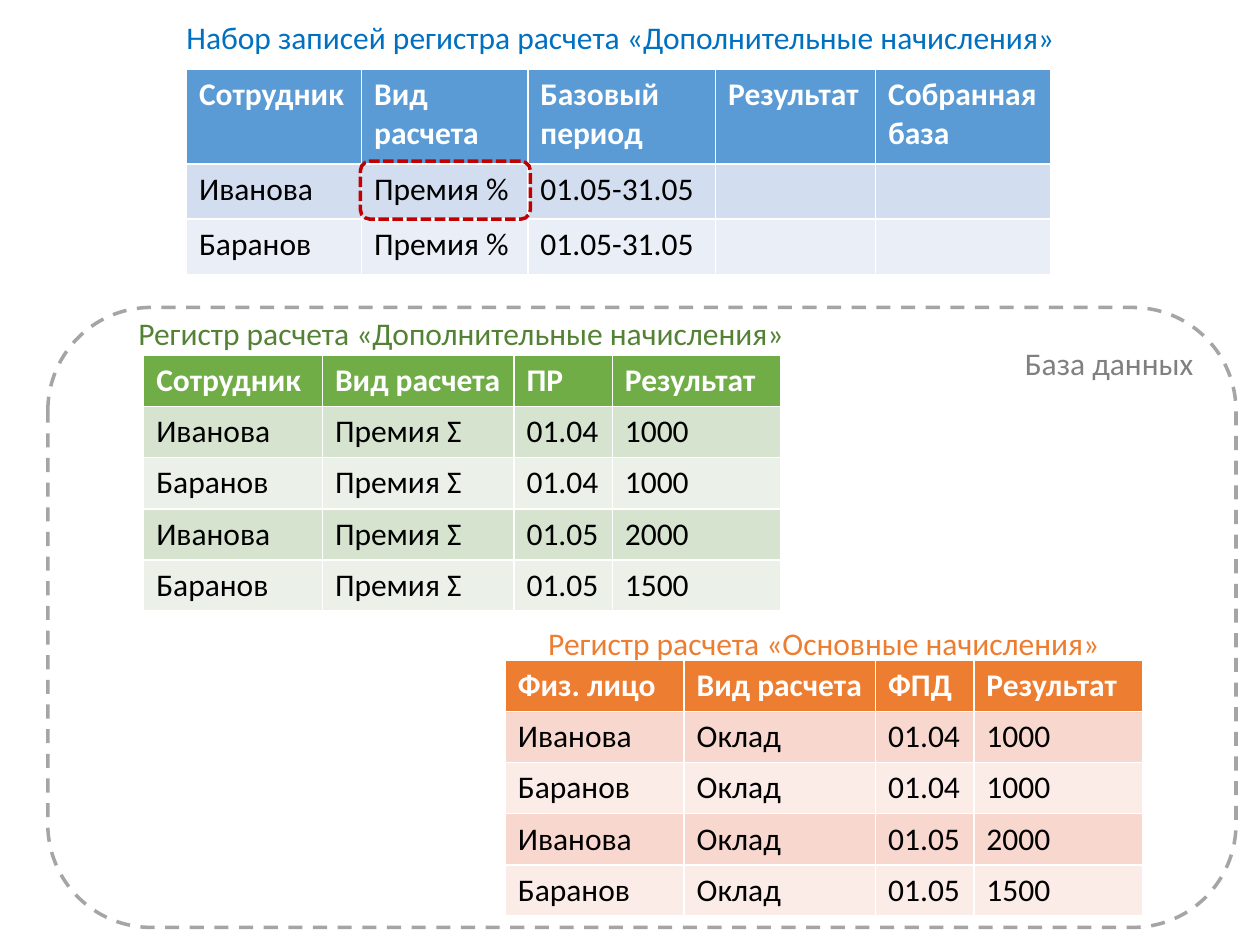
from dataclasses import dataclass

from pptx import Presentation
from pptx.dml.color import RGBColor
from pptx.enum.dml import MSO_LINE
from pptx.enum.shapes import MSO_SHAPE
from pptx.enum.text import MSO_ANCHOR, MSO_AUTO_SIZE, PP_ALIGN
from pptx.util import Inches, Pt


@dataclass(frozen=True)
class TableColors:
    header: str
    odd_row: str
    even_row: str


@dataclass(frozen=True)
class Theme:
    font: str = "Calibri"
    size: int = 18
    line_width: int = 2
    header_text: str = "FFFFFF"
    body_text: str = "000000"
    record_set_title: str = "0070C0"
    extra_title: str = "548235"
    main_title: str = "ED7D31"
    database_text: str = "808080"
    database_line: str = "A5A5A5"
    highlight: str = "C00000"
    record_set: TableColors = TableColors("5B9BD5", "D2DEEF", "EAEFF7")
    extra: TableColors = TableColors("70AD47", "D5E3CF", "EBF1E9")
    main: TableColors = TableColors("ED7D31", "F8D7CE", "FCECE8")


class SlideBuilder:
    def __init__(self, slide, theme):
        self.slide = slide
        self.theme = theme

    def set_text(self, frame, text, color, align=PP_ALIGN.LEFT, bold=False):
        paragraph = frame.paragraphs[0]
        paragraph.text = text
        paragraph.alignment = align
        font = paragraph.font
        font.name = self.theme.font
        font.size = Pt(self.theme.size)
        font.bold = bold
        font.color.rgb = RGBColor.from_string(color)

    def title(self, text, color, left, top, width, height):
        heading = self.slide.shapes.title
        heading.left, heading.top = Inches(left), Inches(top)
        heading.width, heading.height = Inches(width), Inches(height)
        self.caption_text(heading.text_frame, text, color)

    def caption(self, text, color, left, top, width, height):
        box = self.slide.shapes.add_textbox(
            Inches(left), Inches(top), Inches(width), Inches(height))
        self.caption_text(box.text_frame, text, color)

    def caption_text(self, frame, text, color):
        frame.word_wrap = True
        frame.auto_size = MSO_AUTO_SIZE.SHAPE_TO_FIT_TEXT
        frame.vertical_anchor = MSO_ANCHOR.TOP
        self.set_text(frame, text, color, PP_ALIGN.CENTER)

    def table(self, rows, colors, left, top, widths, heights):
        """Add a banded table; white cell borders come from its built-in style."""
        table = self.slide.shapes.add_table(
            len(rows), len(widths), Inches(left), Inches(top),
            Inches(sum(widths)), Inches(sum(heights))).table
        for column, width in zip(table.columns, widths):
            column.width = Inches(width)
        for i, (values, height) in enumerate(zip(rows, heights)):
            table.rows[i].height = Inches(height)
            is_header = i == 0
            if is_header:
                fill = colors.header
            else:
                fill = colors.odd_row if i % 2 else colors.even_row
            text_color = self.theme.header_text if is_header else self.theme.body_text
            for j, value in enumerate(values):
                cell = table.cell(i, j)
                cell.fill.solid()
                cell.fill.fore_color.rgb = RGBColor.from_string(fill)
                self.set_text(cell.text_frame, value, text_color, bold=is_header)

    def dashed_frame(self, color, dash, left, top, width, height):
        frame = self.slide.shapes.add_shape(
            MSO_SHAPE.ROUNDED_RECTANGLE,
            Inches(left), Inches(top), Inches(width), Inches(height))
        frame.shadow.inherit = False
        frame.fill.background()
        frame.line.color.rgb = RGBColor.from_string(color)
        frame.line.width = Pt(self.theme.line_width)
        frame.line.dash_style = dash
        return frame


def register_rows(header, kind):
    """Rows of a register: both employees for April, then for May."""
    accruals = [("Иванова", "01.04", "1000"), ("Баранов", "01.04", "1000"),
                ("Иванова", "01.05", "2000"), ("Баранов", "01.05", "1500")]
    return [header] + [(name, kind, period, result)
                       for name, period, result in accruals]


def main():
    presentation = Presentation()
    presentation.slide_width = Inches(10)
    presentation.slide_height = Inches(7.5)
    theme = Theme()
    title_only = presentation.slide_layouts[5]
    builder = SlideBuilder(presentation.slides.add_slide(title_only), theme)

    builder.title("Набор записей регистра расчета «Дополнительные начисления»",
                  theme.record_set_title, 1.27, 0.09, 7.31, 0.4)
    record_set = [("Сотрудник", "Вид расчета", "Базовый период",
                   "Результат", "Собранная база")]
    record_set += [(name, "Премия %", "01.05-31.05", "", "")
                   for name in ("Иванова", "Баранов")]
    builder.table(record_set, theme.record_set, 1.48, 0.55,
                  [1.39, 1.32, 1.49, 1.27, 1.39], [0.75, 0.44, 0.44])

    register_widths = [1.42, 1.52, 0.78, 1.34]
    register_heights = [2.03 / 5] * 5
    builder.table(
        register_rows(("Физ. лицо", "Вид расчета", "ФПД", "Результат"), "Оклад"),
        theme.main, 4.01, 5.24, register_widths, register_heights)
    builder.table(
        register_rows(("Сотрудник", "Вид расчета", "ПР", "Результат"), "Премия Ʃ"),
        theme.extra, 1.14, 2.82, register_widths, register_heights)

    database = builder.dashed_frame(
        theme.database_line, MSO_LINE.DASH, 0.38, 2.44, 9.43, 4.92)
    database.text_frame.vertical_anchor = MSO_ANCHOR.TOP
    builder.set_text(database.text_frame, "База данных",
                     theme.database_text, PP_ALIGN.RIGHT)
    builder.caption("Регистр расчета «Дополнительные начисления»",
                    theme.extra_title, 0.98, 2.44, 5.36, 0.4)
    builder.caption("Регистр расчета «Основные начисления»",
                    theme.main_title, 4.01, 4.9, 5.06, 0.4)
    builder.dashed_frame(theme.highlight, MSO_LINE.SQUARE_DOT, 2.86, 1.28, 1.35, 0.46)

    presentation.save("out.pptx")


if __name__ == "__main__":
    main()
